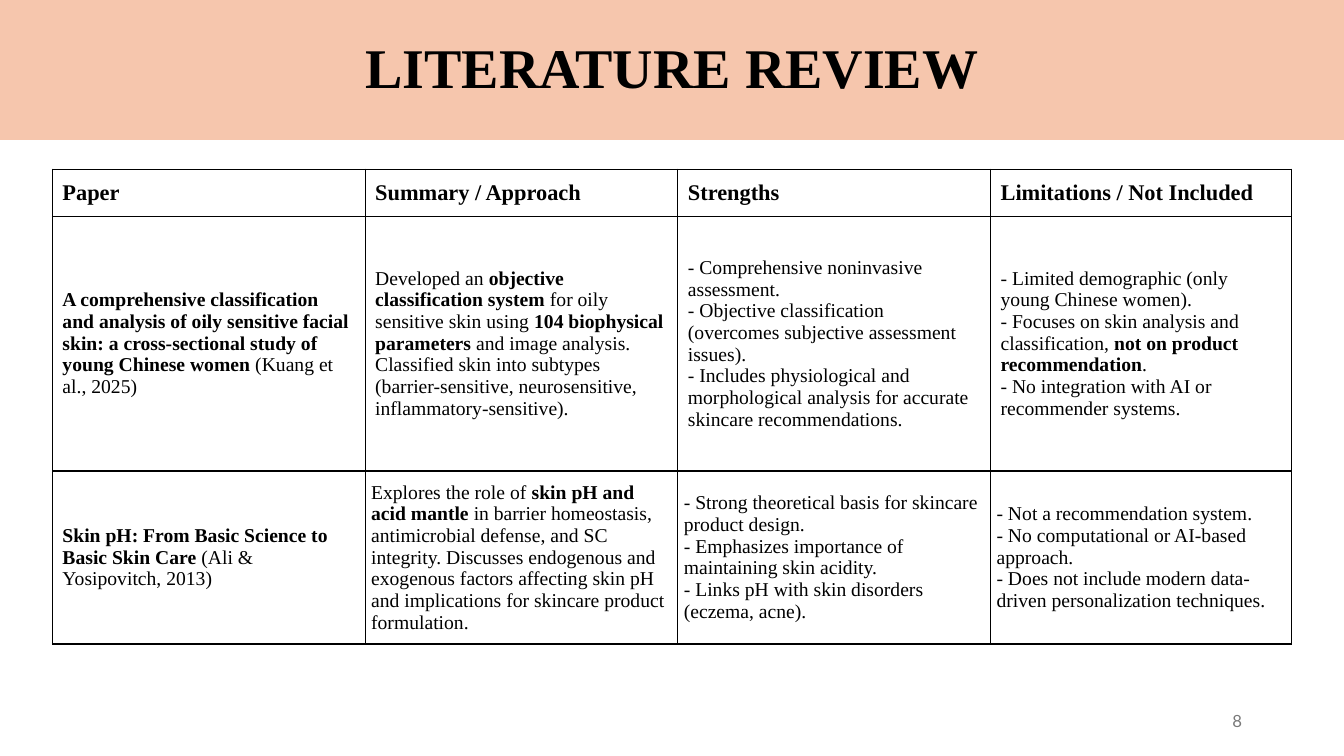
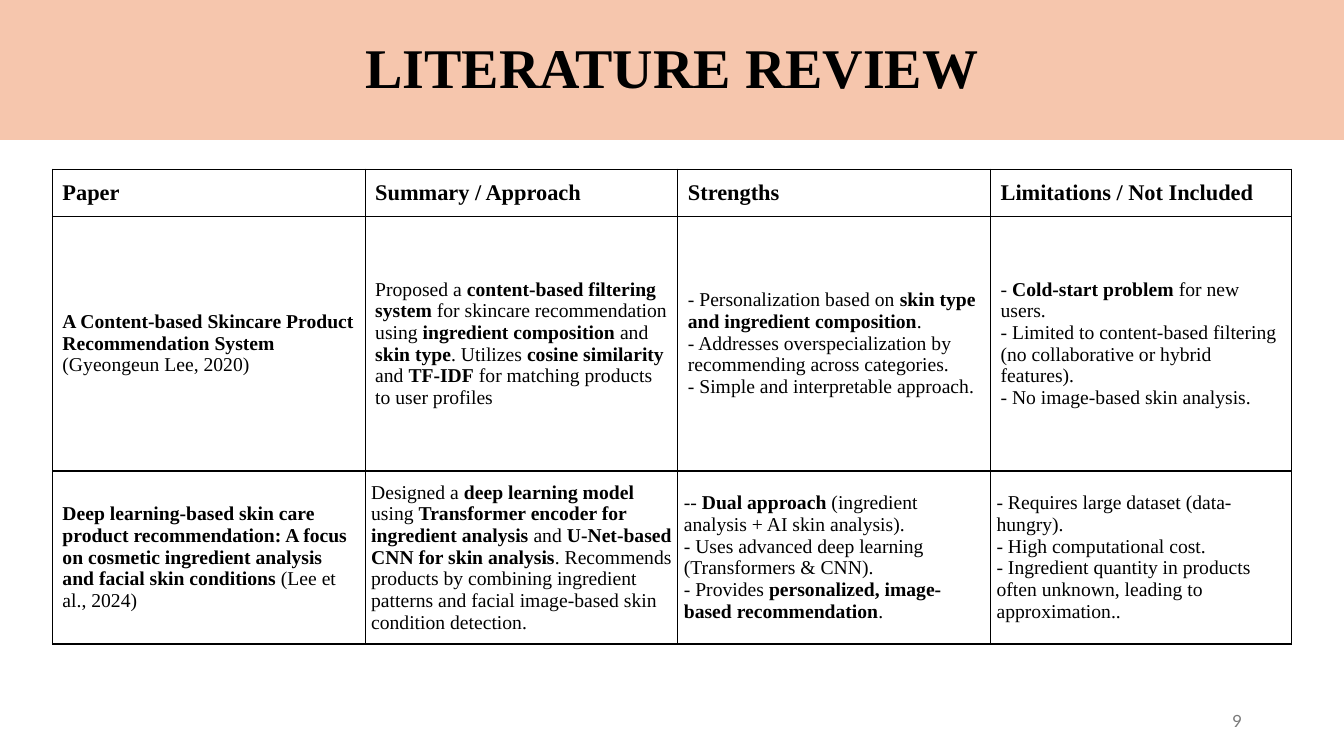
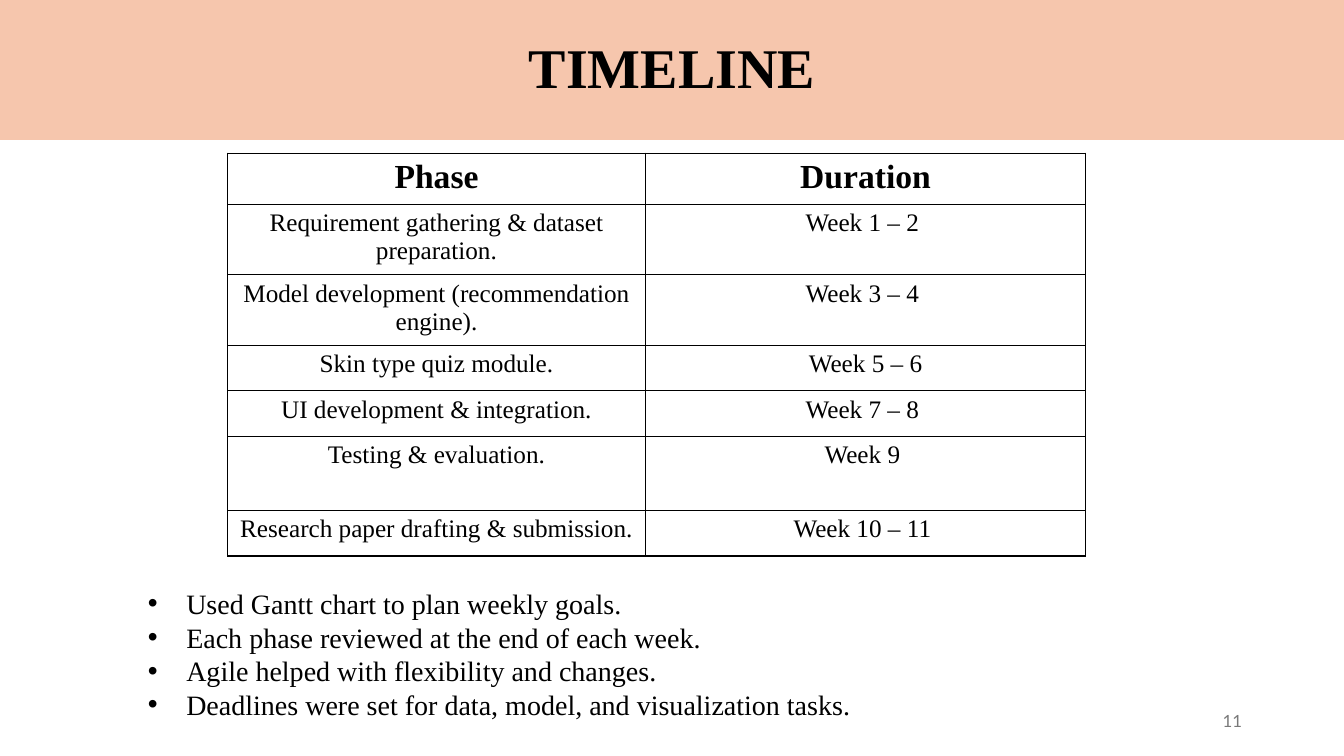
from copy import deepcopy

from lxml import etree
from pptx import Presentation
from pptx.dml.color import RGBColor
from pptx.enum.shapes import MSO_SHAPE
from pptx.enum.text import MSO_ANCHOR, PP_ALIGN
from pptx.oxml.ns import qn
from pptx.util import Inches, Pt

RECT = MSO_SHAPE.RECTANGLE
TOP, MID = MSO_ANCHOR.TOP, MSO_ANCHOR.MIDDLE
LEFT, MIDST, RIGHT = PP_ALIGN.LEFT, PP_ALIGN.CENTER, PP_ALIGN.RIGHT

WIDE, HIGH = Inches(13.33), Inches(7.5)
HUE = {"band": "F6C6AD", "ink": "000000", "foot": "797979"}
SERIF, SANS = "Times New Roman", "Lato"
TIGHT = (0.06, 0.03)

HEADS = ["Paper", "Summary / Approach", "Strengths", "Limitations / Not Included"]
SKIN = [
    [
        "**A comprehensive classification and analysis of oily sensitive facial skin: "
        "a cross-sectional study of young Chinese women** (Kuang et al., 2025)",
        "Developed an **objective classification system** for oily sensitive skin using "
        "**104 biophysical parameters** and image analysis. Classified skin into subtypes "
        "(barrier-sensitive, neurosensitive, inflammatory-sensitive).",
        "- Comprehensive noninvasive assessment.\n"
        "- Objective classification (overcomes subjective assessment issues).\n"
        "- Includes physiological and morphological analysis for accurate skincare "
        "recommendations.",
        "- Limited demographic (only young Chinese women).\n"
        "- Focuses on skin analysis and classification, **not on product recommendation**.\n"
        "- No integration with AI or recommender systems.",
    ],
    [
        "**Skin pH: From Basic Science to Basic Skin Care** (Ali & Yosipovitch, 2013)",
        "Explores the role of **skin pH and acid mantle** in barrier homeostasis, "
        "antimicrobial defense, and SC integrity. Discusses endogenous and exogenous "
        "factors affecting skin pH and implications for skincare product formulation.",
        "- Strong theoretical basis for skincare product design.\n"
        "- Emphasizes importance of maintaining skin acidity.\n"
        "- Links pH with skin disorders (eczema, acne).",
        "- Not a recommendation system.\n"
        "- No computational or AI-based approach.\n"
        "- Does not include modern data-driven personalization techniques.",
    ],
]
MODEL = [
    [
        "**A Content-based Skincare Product Recommendation System** (Gyeongeun Lee, 2020)",
        "Proposed a **content-based filtering system** for skincare recommendation using "
        "**ingredient composition** and **skin type**. Utilizes **cosine similarity** and "
        "**TF-IDF** for matching products to user profiles",
        "- Personalization based on **skin type and ingredient composition**.\n"
        "- Addresses overspecialization by recommending across categories.\n"
        "- Simple and interpretable approach.",
        "- **Cold-start problem** for new users.\n"
        "- Limited to content-based filtering (no collaborative or hybrid features).\n"
        "- No image-based skin analysis.",
    ],
    [
        "**Deep learning-based skin care product recommendation: A focus on cosmetic "
        "ingredient analysis and facial skin conditions** (Lee et al., 2024)",
        "Designed a **deep learning model** using **Transformer encoder for ingredient "
        "analysis** and **U-Net-based CNN for skin analysis**. Recommends products by "
        "combining ingredient patterns and facial image-based skin condition detection.",
        "-- **Dual approach** (ingredient analysis + AI skin analysis).\n"
        "- Uses advanced deep learning (Transformers & CNN).\n"
        "- Provides **personalized, image-based recommendation**.",
        "- Requires large dataset (data-hungry).\n"
        "- High computational cost.\n"
        "- Ingredient quantity in products often unknown, leading to approximation..",
    ],
]
PLAN = [
    ["Phase", "Duration"],
    ["Requirement gathering & dataset preparation.", "Week 1 – 2 "],
    ["Model development (recommendation engine).", "Week 3 – 4 "],
    ["Skin type quiz module.", "Week 5 – 6"],
    ["UI development & integration.", "Week 7 – 8 "],
    ["Testing & evaluation.", "Week 9 "],
    ["Research paper drafting & submission.", "Week 10 – 11 "],
]
NOTES = [
    "Used Gantt chart to plan weekly goals.",
    "Each phase reviewed at the end of each week.",
    "Agile helped with flexibility and changes.",
    "Deadlines were set for data, model, and visualization tasks.",
]


def across(share):
    return round(WIDE * share / 100)


def down(share):
    return round(HIGH * share / 100)


def place(x, y, w, h):
    return across(x), down(y), across(w), down(h)


def tint(hue):
    return RGBColor.from_string(HUE[hue])


def bullet(para):
    props = para._p.get_or_add_pPr()
    props.set("marL", str(Inches(0.38)))
    props.set("indent", str(-Inches(0.38)))
    etree.SubElement(props, qn("a:buFont"), typeface="Arial")
    etree.SubElement(props, qn("a:buChar"), char="•")


def text(frame, *paras, size=14, font=SERIF, hue="ink", bold=False,
         align=LEFT, anchor=MID, lead=None, dots=False):
    frame.word_wrap = True
    frame.vertical_anchor = anchor
    for num, words in enumerate(paras):
        para = frame.add_paragraph() if num else frame.paragraphs[0]
        para.alignment = align
        if lead:
            para.line_spacing = lead
        if dots:
            bullet(para)
        for turn, part in enumerate(words.split("**")):
            for row, line in enumerate(part.split("\n")):
                if row:
                    para.add_line_break()
                if line:
                    run = para.add_run()
                    run.text = line
                    run.font.size = Pt(size)
                    run.font.name = font
                    run.font.bold = bold or turn % 2 == 1
                    run.font.color.rgb = tint(hue)
        for gap in para._p.findall(qn("a:br")):
            gap.append(deepcopy(para.runs[0]._r.rPr))


def box(slide, spot, *paras, **form):
    text(slide.shapes.add_textbox(*spot).text_frame, *paras, **form)


def edge(cell):
    props = cell._tc.get_or_add_tcPr()
    for num, side in enumerate("LRTB"):
        line = etree.Element(qn("a:ln" + side), w=str(Pt(1)))
        fill = etree.SubElement(line, qn("a:solidFill"))
        etree.SubElement(fill, qn("a:srgbClr"), val=HUE["ink"])
        props.insert(num, line)


def grid(slide, x, y, cols, rows, cells, head, body, tight=(), **form):
    spot = place(x, y, sum(cols), sum(rows))
    table = slide.shapes.add_table(len(rows), len(cols), *spot).table
    table.horz_banding = False
    table.first_row = False
    for col, share in zip(table.columns, cols):
        col.width = across(share)
    for row, share in zip(table.rows, rows):
        row.height = down(share)
    for r, line in enumerate(cells):
        for c, words in enumerate(line):
            cell = table.cell(r, c)
            cell.fill.background()
            edge(cell)
            cell.vertical_anchor = form.get("anchor", MID)
            if (r, c) in tight:
                cell.margin_left = cell.margin_right = Inches(TIGHT[0])
                cell.margin_top = cell.margin_bottom = Inches(TIGHT[1])
            text(cell.text_frame, words, size=body if r else head, bold=not r,
                 **{**form, "anchor": None})


def page(deck, title, num):
    slide = deck.slides.add_slide(deck.slide_layouts[6])
    box(slide, place(70.65, 92.67, 22.5, 5.33), num,
        size=12, font=SANS, hue="foot", align=RIGHT)
    band = slide.shapes.add_shape(RECT, *place(0, 0, 100, 18.5))
    band.shadow.inherit = False
    band.fill.solid()
    band.fill.fore_color.rgb = tint("band")
    band.line.fill.background()
    text(band.text_frame, title, size=40, bold=True, align=MIDST, lead=0.9)
    return slide


def review(deck, num, papers):
    slide = page(deck, "LITERATURE REVIEW", num)
    grid(slide, 3.9, 22.4, [23.27] * 3 + [22.4], [6.2, 33.7, 22.9],
         [HEADS] + papers, 16, 14, tight=[(2, c) for c in (1, 2, 3)])


def timeline(deck, num):
    slide = page(deck, "TIMELINE", num)
    box(slide, place(10.27, 76.93, 65.64, 19.33), *NOTES,
        size=20, anchor=TOP, dots=True)
    grid(slide, 16.95, 20.27, [31.06, 32.78],
         [6.75, 9.33, 9.33, 6.02, 6.02, 9.8, 6.02],
         PLAN, 24, 18, align=MIDST, anchor=TOP)


def main():
    deck = Presentation()
    deck.slide_width, deck.slide_height = WIDE, HIGH
    review(deck, "8", SKIN)
    review(deck, "9", MODEL)
    timeline(deck, "11")
    deck.save("out.pptx")


if __name__ == "__main__":
    main()
